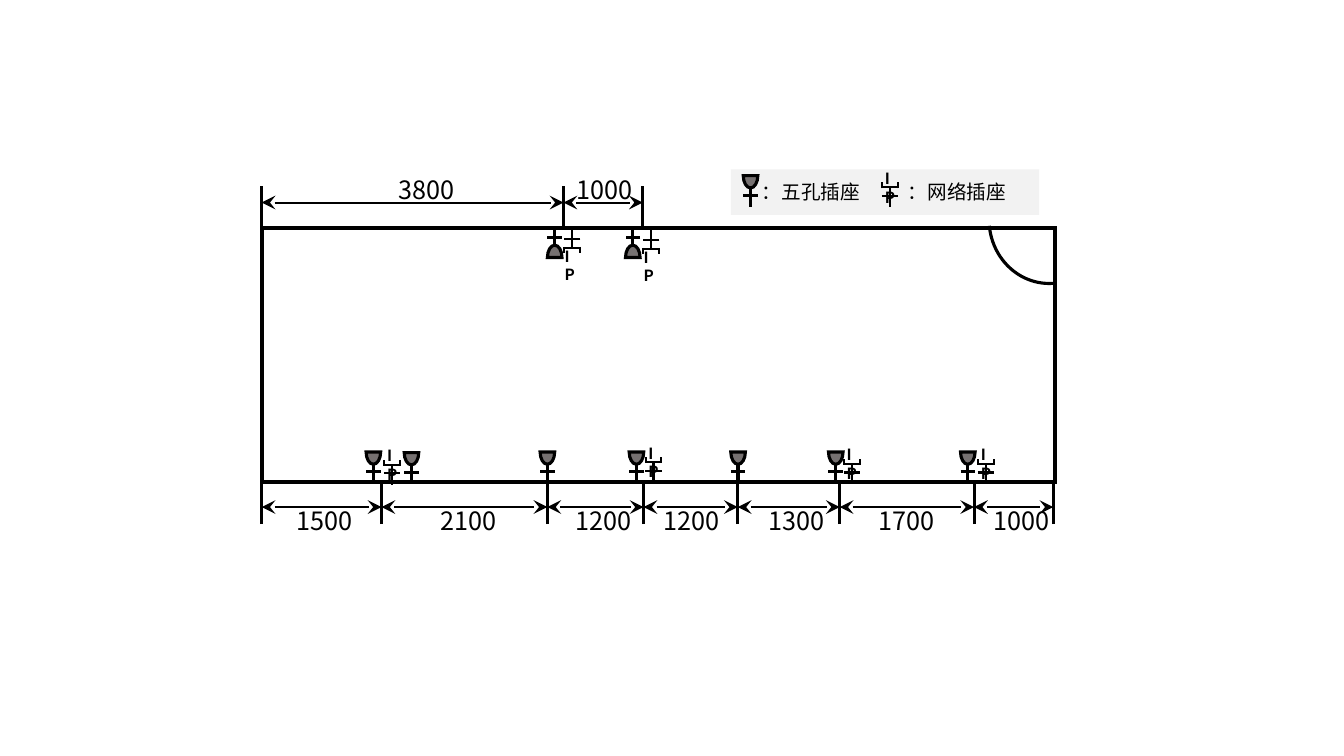
from dataclasses import dataclass

from lxml import etree
from pptx import Presentation
from pptx.dml.color import RGBColor
from pptx.enum.shapes import MSO_CONNECTOR, MSO_SHAPE
from pptx.enum.text import MSO_ANCHOR, MSO_AUTO_SIZE, PP_ALIGN
from pptx.oxml.ns import qn
from pptx.util import Pt

RECT = MSO_SHAPE.RECTANGLE
ARC = MSO_SHAPE.ARC
LINE = MSO_CONNECTOR.STRAIGHT
TOP = MSO_ANCHOR.TOP
LEFT = PP_ALIGN.LEFT
GROW = MSO_AUTO_SIZE.SHAPE_TO_FIT_TEXT

BLACK = RGBColor(0x00, 0x00, 0x00)
GREY = RGBColor(0x76, 0x71, 0x71)
PALE = RGBColor(0xF2, 0xF2, 0xF2)
FONT = "Noto Sans CJK SC"
THIN, BOLD, WALL = 1.5, 2.25, 3


@dataclass(frozen=True)
class Symbol:
    x: float
    y: float
    way: int = 1


@dataclass(frozen=True)
class Label:
    text: str
    x: float


@dataclass(frozen=True)
class Scale:
    y: float
    start: float
    end: float
    text_y: float
    ticks: tuple[float, ...]
    labels: tuple[Label, ...]


SCALES = (
    Scale(144.7, 162.6, 132.8, 121, (186.9, 402.5, 459.1),
          (Label("3800", 277.6), Label("1000", 404.6))),
    Scale(362.2, 374.4, 344.2, 357.1,
          (186.9, 272.5, 391, 459.7, 527, 599.8, 695.8, 752.4),
          (Label("1500", 204.5), Label("2100", 307.4), Label("1200", 403.9),
           Label("1200", 466.6), Label("1300", 541.8), Label("1700", 620.6),
           Label("1000", 702.7))),
)

POWER = (
    Symbol(266.7, 322.9), Symbol(293.9, 323.3), Symbol(391, 322.9),
    Symbol(454.6, 322.9), Symbol(527.2, 322.9), Symbol(597, 322.9),
    Symbol(691.3, 322.9), Symbol(536.1, 125.5),
    Symbol(396.2, 183.9, -1), Symbol(452, 183.9, -1),
)

NETWORK = (
    Symbol(280.2, 332), Symbol(466.8, 330), Symbol(608.5, 331.3),
    Symbol(704.3, 331.3), Symbol(635.8, 133.9),
    Symbol(408.6, 177.1, -1), Symbol(465.1, 177.8, -1),
)


def add_line(shapes, x1: float, y1: float, x2: float, y2: float,
             width: float = BOLD, arrows: bool = False) -> None:
    line = shapes.add_connector(LINE, Pt(x1), Pt(y1), Pt(x2), Pt(y2))
    line.line.color.rgb = BLACK
    line.line.width = Pt(width)
    props = line.element.spPr
    if arrows:
        stroke = props.find(qn("a:ln"))
        for end in ("a:headEnd", "a:tailEnd"):
            etree.SubElement(stroke, qn(end), type="stealth", w="lg", len="lg")
    etree.SubElement(props, qn("a:effectLst"))


def add_text(shapes, text: str, x: float, y: float, w: float, h: float, *,
             size: float, bold: bool = False) -> None:
    box = shapes.add_textbox(Pt(x), Pt(y), Pt(w), Pt(h))
    frame = box.text_frame
    frame.word_wrap = True
    frame.auto_size = GROW
    frame.vertical_anchor = TOP
    para = frame.paragraphs[0]
    para.alignment = LEFT
    run = para.add_run()
    run.text = text
    font = run.font
    font.size = Pt(size)
    font.bold = bold
    font.color.rgb = BLACK
    font.name = FONT
    for props in box.element.iter(qn("a:rPr")):
        etree.SubElement(props, qn("a:ea"), typeface=FONT)


def style(shape, fill: RGBColor | None, width: float) -> None:
    shape.shadow.inherit = False
    if fill is None:
        shape.fill.background()
    else:
        shape.fill.solid()
        shape.fill.fore_color.rgb = fill
    if width:
        shape.line.color.rgb = BLACK
        shape.line.width = Pt(width)
        stroke = shape.element.spPr.find(qn("a:ln"))
        etree.SubElement(stroke, qn("a:miter"), lim="800000")
    else:
        shape.line.fill.background()


def add_room(shapes) -> None:
    legend = shapes.add_shape(RECT, Pt(522), Pt(121), Pt(220.3), Pt(32.6))
    style(legend, PALE, 0)
    walls = shapes.add_shape(RECT, Pt(187.2), Pt(162.7), Pt(566.6), Pt(181.4))
    style(walls, None, WALL)
    door = shapes.add_shape(ARC, Pt(706.5), Pt(112.5), Pt(85), Pt(90))
    door.rotation = 174.9
    style(door, None, BOLD)


def add_scale(shapes, scale: Scale) -> None:
    for start, end in zip(scale.ticks, scale.ticks[1:]):
        add_line(shapes, start, scale.y, end, scale.y, THIN, arrows=True)
    for x in scale.ticks:
        add_line(shapes, x, scale.start, x, scale.end)
    for label in scale.labels:
        add_text(shapes, label.text, label.x, scale.text_y, 58.3, 28.8, size=18)


def bend(line, *points: tuple[float, float]) -> None:
    curve = etree.Element(qn("a:cubicBezTo"))
    for x, y in points:
        etree.SubElement(curve, qn("a:pt"), x=str(Pt(x)), y=str(Pt(y)))
    line.getparent().replace(line, curve)


def add_bowl(shapes, x: float, top: float, half: float, deep: float,
             turn: float) -> None:
    wide, low, pull = 2 * half, top + deep, 0.55
    pen = shapes.build_freeform(Pt(x - half), Pt(top))
    pen.add_line_segments([(Pt(x + half), Pt(top)), (Pt(x), Pt(low)),
                           (Pt(x - half), Pt(top))], close=True)
    bowl = pen.convert_to_shape()
    sides = list(bowl.element.iter(qn("a:lnTo")))[1:]
    bend(sides[0], (wide, deep * pull), (half * (1 + pull), deep), (half, deep))
    bend(sides[1], (half * (1 - pull), deep), (0, deep * pull), (0, 0))
    bowl.rotation = turn
    style(bowl, GREY, BOLD)


def add_power(shapes, sym: Symbol) -> None:
    half, deep, way = 5.2, 8.8, sym.way
    top, turn = (sym.y, 0) if way > 0 else (sym.y - deep, 180)
    add_bowl(shapes, sym.x, top, half, deep, turn)
    bar = sym.y + way * 14
    add_line(shapes, sym.x - way * half, bar, sym.x + way * half, bar)
    add_line(shapes, sym.x, sym.y + way * deep, sym.x, sym.y + way * 22.4)


def add_network(shapes, sym: Symbol) -> None:
    x, y, way = sym.x, sym.y, sym.way
    dx, dy = (10.8, 16.6) if way > 0 else (12.4, 4.3)
    add_text(shapes, "IP", x - dx, y - dy, 24.5, 20.9, size=11, bold=True)
    for bar in (y, y + way * 6.2):
        add_line(shapes, x - way * 5.9, bar, x + way * 5.9, bar, THIN)
    for prong in (x - way * 5.6, x + way * 5.6):
        add_line(shapes, prong, y + way * 0.7, prong, y - way * 3.6, THIN)
    add_line(shapes, x, y, x, y + way * 14.1, THIN)


def main() -> None:
    deck = Presentation()
    deck.slide_width, deck.slide_height = Pt(960), Pt(540)
    slide = deck.slides.add_slide(deck.slide_layouts[6])
    shapes = slide.shapes.add_group_shape().shapes
    add_room(shapes)
    for scale in SCALES:
        add_scale(shapes, scale)
    for sym in POWER:
        add_power(shapes, sym)
    for sym in NETWORK:
        add_network(shapes, sym)
    add_text(shapes, "：五孔插座", 537.1, 125.3, 90.7, 24.5, size=14)
    add_text(shapes, "：网络插座", 641.5, 124.8, 90.7, 24.5, size=14)
    deck.save("out.pptx")


if __name__ == "__main__":
    main()
